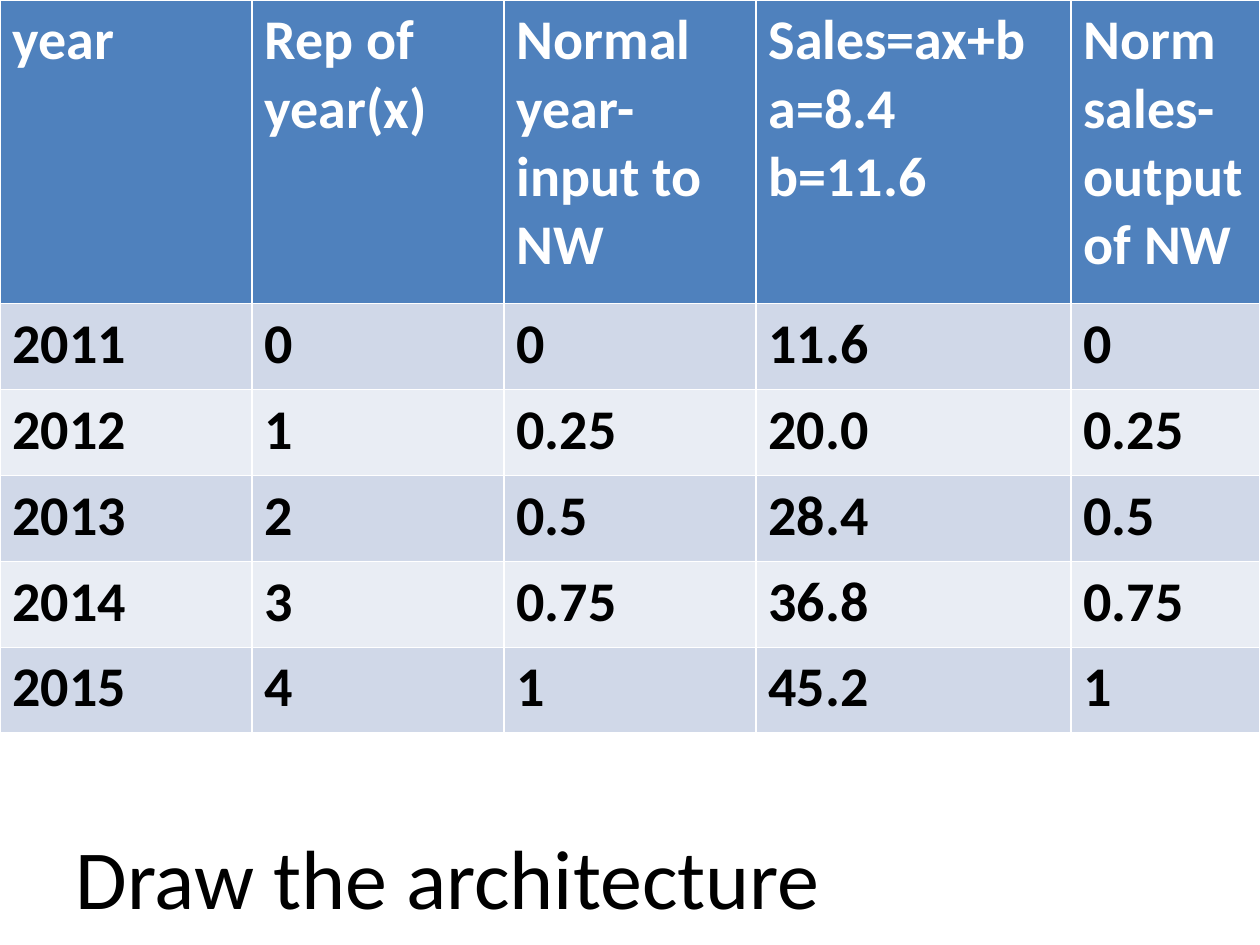
from dataclasses import dataclass

from pptx import Presentation
from pptx.dml.color import RGBColor
from pptx.enum.text import MSO_AUTO_SIZE
from pptx.util import Inches, Pt

FIT_SHAPE = MSO_AUTO_SIZE.SHAPE_TO_FIT_TEXT


@dataclass(frozen=True)
class Theme:
    font: str = "Calibri"
    header_fill: RGBColor = RGBColor(0x4F, 0x81, 0xBD)
    bands: tuple = (RGBColor(0xD0, 0xD8, 0xE8), RGBColor(0xE9, 0xED, 0xF4))
    light_text: RGBColor = RGBColor(0xFF, 0xFF, 0xFF)
    dark_text: RGBColor = RGBColor(0, 0, 0)
    table_size: Pt = Pt(32)
    task_size: Pt = Pt(48)


THEME = Theme()

HEADERS = (
    "year",
    "Rep of year(x)",
    "Normal year-input to NW",
    "Sales=ax+b\na=8.4 b=11.6",
    "Norm sales-output of NW",
)
SALES_ROWS = (
    ("2011", "0", "0", "11.6", "0"),
    ("2012", "1", "0.25", "20.0", "0.25"),
    ("2013", "2", "0.5", "28.4", "0.5"),
    ("2014", "3", "0.75", "36.8", "0.75"),
    ("2015", "4", "1", "45.2", "1"),
)
COLUMN_SHARES = (0.2, 0.2, 0.2, 0.25, 0.15)
HEADER_HEIGHT = Inches(2.41)


def write_text(text_frame, text, size, color, bold=False):
    text_frame.text = text
    for paragraph in text_frame.paragraphs:
        font = paragraph.font
        font.name = THEME.font
        font.size = size
        font.bold = bold
        font.color.rgb = color


def fill_row(table, row_index, texts, fill, color):
    for column_index, text in enumerate(texts):
        cell = table.cell(row_index, column_index)
        cell.fill.solid()
        cell.fill.fore_color.rgb = fill
        write_text(cell.text_frame, text, THEME.table_size, color, bold=True)


def add_sales_table(slide, left, top, width, height):
    """White cell borders come from the default table style."""
    table = slide.shapes.add_table(
        len(SALES_ROWS) + 1, len(HEADERS), left, top, width, height
    ).table
    for column, share in zip(table.columns, COLUMN_SHARES):
        column.width = int(width * share)
    row_height = (height - HEADER_HEIGHT) // len(SALES_ROWS)
    for index, row in enumerate(table.rows):
        row.height = row_height if index else HEADER_HEIGHT

    fill_row(table, 0, HEADERS, THEME.header_fill, THEME.light_text)
    for index, texts in enumerate(SALES_ROWS):
        band = THEME.bands[index % len(THEME.bands)]
        fill_row(table, index + 1, texts, band, THEME.dark_text)


def add_task(slide, left, top, width, height):
    text_frame = slide.shapes.add_textbox(left, top, width, height).text_frame
    text_frame.word_wrap = True
    text_frame.auto_size = FIT_SHAPE
    write_text(
        text_frame, "Draw the architecture", THEME.task_size, THEME.dark_text
    )


def main():
    presentation = Presentation()
    presentation.slide_width = Inches(10)
    presentation.slide_height = Inches(7.5)
    slide = presentation.slides.add_slide(presentation.slide_layouts[6])
    add_sales_table(slide, 0, 0, presentation.slide_width, Inches(5.82))
    add_task(slide, Inches(0.5), Inches(6.5), Inches(7.75), Inches(0.91))
    presentation.save("out.pptx")


if __name__ == "__main__":
    main()
